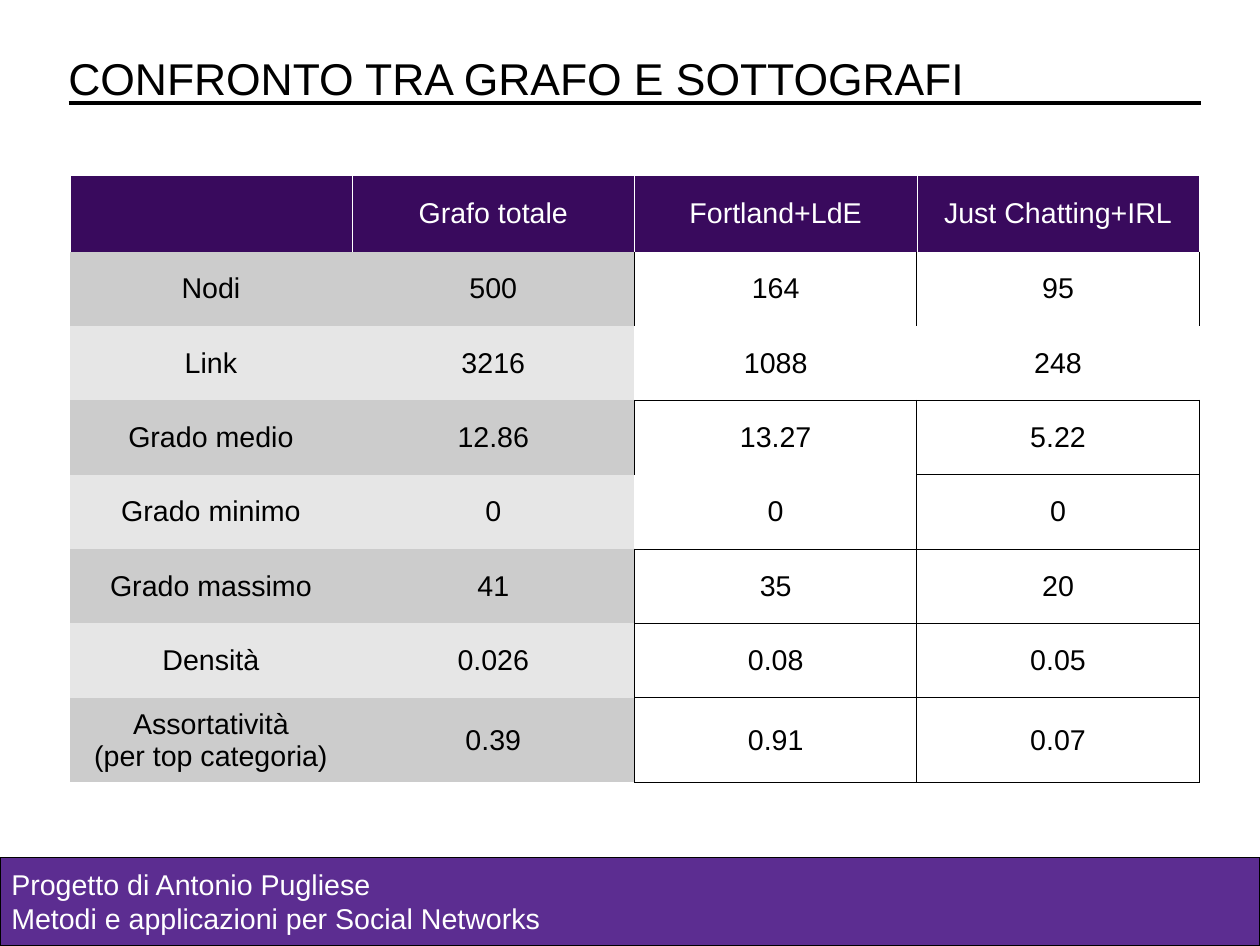
from lxml import etree
from pptx import Presentation
from pptx.dml.color import RGBColor
from pptx.enum.shapes import MSO_CONNECTOR, MSO_SHAPE
from pptx.enum.text import MSO_ANCHOR, PP_ALIGN
from pptx.oxml.ns import qn
from pptx.util import Inches, Pt

TITLE = "CONFRONTO TRA GRAFO E SOTTOGRAFI"
FOOTER = "Progetto di Antonio Pugliese\nMetodi e applicazioni per Social Networks"
ROWS = [
    ("", "Grafo totale", "Fortland+LdE", "Just Chatting+IRL"),
    ("Nodi", "500", "164", "95"),
    ("Link", "3216", "1088", "248"),
    ("Grado medio", "12.86", "13.27", "5.22"),
    ("Grado minimo", "0", "0", "0"),
    ("Grado massimo", "41", "35", "20"),
    ("Densità", "0.026", "0.08", "0.05"),
    ("Assortatività\n(per top categoria)", "0.39", "0.91", "0.07"),
]
ROW_HEIGHTS = [0.66] + [0.65] * 6 + [0.74]
COLUMN_WIDTH = 2.47
OPEN_CELLS = {(2, 2), (2, 3), (4, 2)}  # white cells without a frame of their own

BLACK, WHITE = "000000", "FFFFFF"
HEADER_FILL, FOOTER_FILL = "390A5D", "5C2D91"
BAND_FILLS = ["E6E6E6", "CCCCCC"]
NO_GRID_STYLE = "{2D5ABB26-0587-4C30-8999-92F81FD0307C}"


def rgb(color):
    return RGBColor.from_string(color)


def write(text_frame, text, size, color, alignment=PP_ALIGN.LEFT):
    text_frame.text = text
    for paragraph in text_frame.paragraphs:
        paragraph.alignment = alignment
        for run in paragraph.runs:
            run.font.name = "Arial"
            run.font.size = Pt(size)
            run.font.color.rgb = rgb(color)


def add_text(slide, text, left, top, width, height, size, color, anchor):
    text_frame = slide.shapes.add_textbox(
        Inches(left), Inches(top), Inches(width), Inches(height)).text_frame
    text_frame.word_wrap = True
    text_frame.vertical_anchor = anchor
    write(text_frame, text, size, color)


def is_framed(row, column):
    return row > 0 and 2 <= column < 4 and (row, column) not in OPEN_CELLS


def vertical_edge(row, column):
    """Colour of the edge left of a cell, or None."""
    if row == 0:
        return WHITE
    return BLACK if is_framed(row, column - 1) or is_framed(row, column) else None


def horizontal_edge(row, column):
    """Colour of the edge above a cell, or None; the lower cell decides."""
    if row == len(ROWS):
        row -= 1
    return BLACK if row > 1 and is_framed(row, column) else None


def set_borders(cell, row, column):
    edges = {
        "a:lnL": vertical_edge(row, column),
        "a:lnR": vertical_edge(row, column + 1),
        "a:lnT": horizontal_edge(row, column),
        "a:lnB": horizontal_edge(row + 1, column),
    }
    properties = cell._tc.get_or_add_tcPr()
    for position, (tag, color) in enumerate(edges.items()):
        width = Pt(0.06) if color == WHITE else Pt(0.57)
        line = etree.Element(qn(tag), w=str(width))
        if color:
            fill = etree.SubElement(line, qn("a:solidFill"))
            etree.SubElement(fill, qn("a:srgbClr"), val=color)
        else:
            etree.SubElement(line, qn("a:noFill"))
        properties.insert(position, line)


def add_comparison_table(slide):
    column_count = len(ROWS[0])
    frame = slide.shapes.add_table(
        len(ROWS), column_count, Inches(0.61), Inches(1.54),
        Inches(COLUMN_WIDTH * column_count), Inches(sum(ROW_HEIGHTS)))
    table = frame.table
    table.horz_banding = False
    table._tbl.tblPr.find(qn("a:tableStyleId")).text = NO_GRID_STYLE
    for column in table.columns:
        column.width = Inches(COLUMN_WIDTH)
    for row, texts in enumerate(ROWS):
        table.rows[row].height = Inches(ROW_HEIGHTS[row])
        for column, text in enumerate(texts):
            cell = table.cell(row, column)
            cell.vertical_anchor = MSO_ANCHOR.MIDDLE
            color = BLACK if row else WHITE
            write(cell.text_frame, text, 18, color, PP_ALIGN.CENTER)
            if row and column >= 2:
                cell.fill.background()
            else:
                cell.fill.solid()
                fill = BAND_FILLS[row % 2] if row else HEADER_FILL
                cell.fill.fore_color.rgb = rgb(fill)
            set_borders(cell, row, column)


def main():
    presentation = Presentation()
    presentation.slide_width = Inches(11.02)
    presentation.slide_height = Inches(8.27)
    slide = presentation.slides.add_slide(presentation.slide_layouts[6])

    footer = slide.shapes.add_shape(
        MSO_SHAPE.RECTANGLE, 0, Inches(7.5), Inches(11.02), Inches(0.77))
    footer.shadow.inherit = False
    footer.fill.solid()
    footer.fill.fore_color.rgb = rgb(FOOTER_FILL)
    footer.line.color.rgb = rgb(BLACK)
    footer.line.width = Pt(0)
    add_text(slide, FOOTER, 0, 7.55, 5.81, 0.66, 18, WHITE, MSO_ANCHOR.MIDDLE)

    add_text(slide, TITLE, 0.5, 0.4, 10, 0.7, 28, BLACK, MSO_ANCHOR.TOP)
    title_rule = slide.shapes.add_connector(
        MSO_CONNECTOR.STRAIGHT, Inches(0.6), Inches(0.9), Inches(10.5), Inches(0.9))
    title_rule.line.color.rgb = rgb(BLACK)
    title_rule.line.width = Pt(0)
    etree.SubElement(title_rule._element.spPr, qn("a:effectLst"))

    add_comparison_table(slide)
    presentation.save("out.pptx")


if __name__ == "__main__":
    main()
